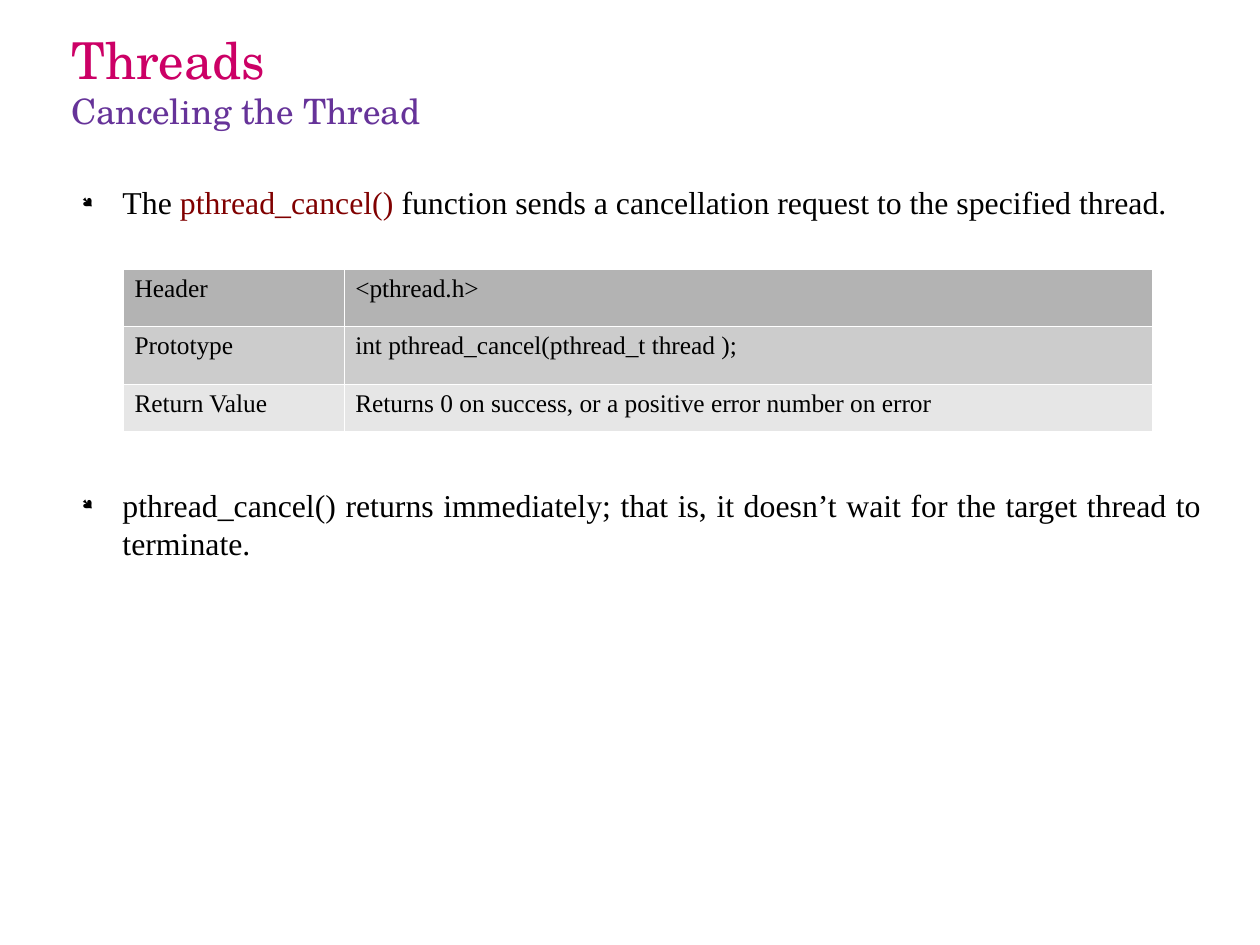
"""Build the slide on cancelling a thread."""
from lxml.etree import SubElement
from pptx import Presentation
from pptx.dml.color import RGBColor
from pptx.enum.text import MSO_ANCHOR, PP_ALIGN
from pptx.oxml.ns import qn
from pptx.util import Pt

BLACK = RGBColor(0x00, 0x00, 0x00)
WHITE = RGBColor(0xFF, 0xFF, 0xFF)
MAROON = RGBColor(0x80, 0x00, 0x00)
PINK = RGBColor(0xCC, 0x00, 0x66)
PURPLE = RGBColor(0x66, 0x33, 0x99)
GRAYS = [RGBColor(level, level, level) for level in (0xB3, 0xCC, 0xE6)]
TITLE_FONT = "TeX Gyre Schola"
BODY_FONT = "Times New Roman"

HEADINGS = [("Threads", 32, PINK), ("Canceling the Thread", 22, PURPLE)]
BULLETS = [
    [("The ", BLACK), ("pthread_cancel()", MAROON),
     (" function sends a cancellation request to the specified thread.", BLACK)],
    [("pthread_cancel() returns immediately; that is, it doesn’t wait "
      "for the target thread to terminate.", BLACK)],
]
TABLE_ROWS = [
    ("Header", "<pthread.h>"),
    ("Prototype", "int pthread_cancel(pthread_t thread );"),
    ("Return Value", "Returns 0 on success, or a positive error number on error"),
]
COLUMN_WIDTHS = (139, 509)
ROW_HEIGHTS = (36, 36.5, 29.5)
TABLE_GAP = 166.5


def add_text_frame(slide, left, top, width, height, anchor):
    frame = slide.shapes.add_textbox(Pt(left), Pt(top), Pt(width), Pt(height)).text_frame
    frame.word_wrap = True
    frame.vertical_anchor = anchor
    frame.margin_left = frame.margin_right = frame.margin_top = frame.margin_bottom = 0
    return frame


def add_bullet(paragraph):
    properties = paragraph._p.get_or_add_pPr()
    properties.set("marL", str(Pt(34)))
    properties.set("indent", str(-Pt(25.5)))
    color = SubElement(properties, qn("a:buClr"))
    SubElement(color, qn("a:srgbClr"), val=str(BLACK))
    SubElement(properties, qn("a:buSzPct"), val="45000")
    SubElement(properties, qn("a:buFont"), typeface="Wingdings", charset="2")
    SubElement(properties, qn("a:buChar"), char="●")


def add_borders(cell):
    properties = cell._tc.get_or_add_tcPr()
    for index, side in enumerate(("lnL", "lnR", "lnT", "lnB")):
        line = properties.makeelement(qn(f"a:{side}"), {"w": str(Pt(0.06))})
        fill = SubElement(line, qn("a:solidFill"))
        SubElement(fill, qn("a:srgbClr"), val=str(WHITE))
        properties.insert(index, line)


def add_headings(slide):
    frame = add_text_frame(slide, 44.9, 0.7, 709, 99.4, MSO_ANCHOR.MIDDLE)
    paragraph = frame.paragraphs[0]
    paragraph.font.name = TITLE_FONT
    for index, (text, size, color) in enumerate(HEADINGS):
        if index:
            paragraph.add_line_break()
        run = paragraph.add_run()
        run.text = text
        run.font.size = Pt(size)
        run.font.color.rgb = color


def add_bullets(slide):
    frame = add_text_frame(slide, 43.2, 115.2, 714, 410.4, MSO_ANCHOR.TOP)
    for index, parts in enumerate(BULLETS):
        paragraph = frame.add_paragraph() if index else frame.paragraphs[0]
        paragraph.alignment = PP_ALIGN.JUSTIFY
        paragraph.line_spacing = Pt(24)
        if index:
            paragraph.space_before = Pt(TABLE_GAP)
        add_bullet(paragraph)
        paragraph.font.name = BODY_FONT
        paragraph.font.size = Pt(20)
        for text, color in parts:
            run = paragraph.add_run()
            run.text = text
            run.font.color.rgb = color


def add_function_table(slide):
    table = slide.shapes.add_table(
        len(ROW_HEIGHTS), len(COLUMN_WIDTHS), Pt(77.6), Pt(169.5),
        Pt(sum(COLUMN_WIDTHS)), Pt(sum(ROW_HEIGHTS))).table
    table.first_row = table.horz_banding = False
    for column, width in zip(table.columns, COLUMN_WIDTHS):
        column.width = Pt(width)
    for row, height, texts, gray in zip(table.rows, ROW_HEIGHTS, TABLE_ROWS, GRAYS):
        row.height = Pt(height)
        for cell, text in zip(row.cells, texts):
            cell.text = text
            cell.margin_left = cell.margin_right = Pt(7.2)
            cell.margin_top = cell.margin_bottom = Pt(3.6)
            cell.fill.solid()
            cell.fill.fore_color.rgb = gray
            font = cell.text_frame.paragraphs[0].font
            font.name = BODY_FONT
            font.size = Pt(16)
            font.color.rgb = BLACK
            add_borders(cell)


def main():
    presentation = Presentation()
    presentation.slide_width = Pt(793.7)
    presentation.slide_height = Pt(595.28)
    slide = presentation.slides.add_slide(presentation.slide_layouts[6])
    add_headings(slide)
    add_bullets(slide)
    add_function_table(slide)
    presentation.save("out.pptx")


if __name__ == "__main__":
    main()
